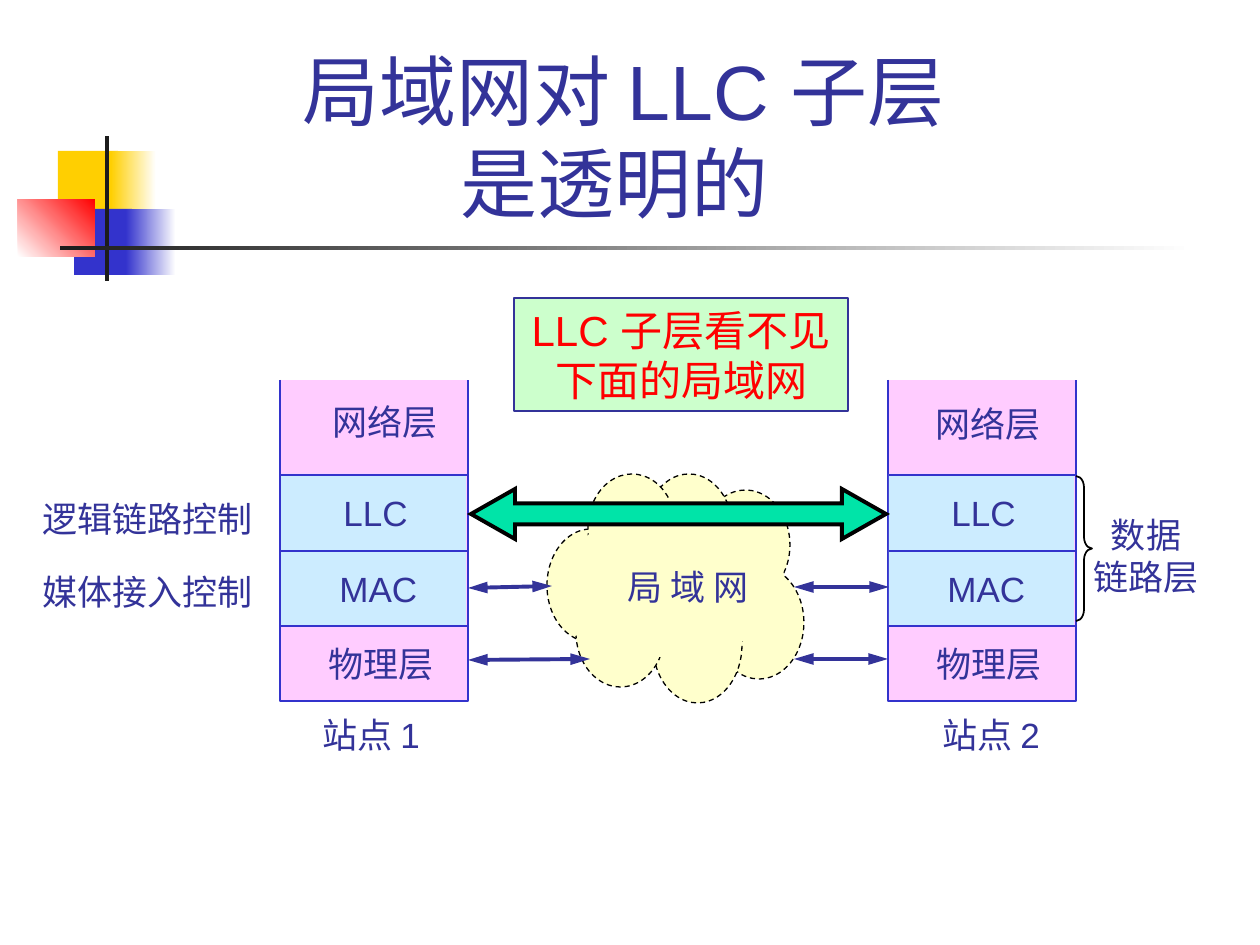
from pptx import Presentation
from pptx.dml.color import RGBColor
from pptx.enum.dml import MSO_LINE
from pptx.enum.shapes import MSO_CONNECTOR, MSO_SHAPE
from pptx.enum.text import MSO_ANCHOR, MSO_AUTO_SIZE, PP_ALIGN
from pptx.oxml.ns import qn
from pptx.util import Pt
from lxml import etree

PX = 914400 / 126
RECT, OVAL = MSO_SHAPE.RECTANGLE, MSO_SHAPE.OVAL
STRAIGHT, DASH = MSO_CONNECTOR.STRAIGHT, MSO_LINE.DASH
LEFT, CENTER = PP_ALIGN.LEFT, PP_ALIGN.CENTER
COLORS = {
    "yellow": "FFCF01", "blue": "3333CC", "red": "FF0000", "white": "FFFFFF",
    "dark": "1C1C1C", "black": "000000", "navy": "333399", "pink": "FFCCFF",
    "sky": "CCECFF", "cream": "FFFFCC", "mint": "CCFFCC", "green": "00E4A8",
}
COLORS = {name: RGBColor.from_string(value) for name, value in COLORS.items()}

deck = Presentation()
deck.slide_width, deck.slide_height = round(1260 * PX), round(945 * PX)
page = deck.slides.add_slide(deck.slide_layouts[6])


def style(shape, fill=None, line=None, width=0.75):
    """Give a shape or connector flat colours and no shadow; None means no paint."""
    if line:
        shape.line.color.rgb = COLORS[line]
        shape.line.width = Pt(width)
    else:
        shape.line.fill.background()
    if hasattr(shape, "begin_x"):
        etree.SubElement(shape._element.spPr, qn("a:effectLst"))
        return shape
    shape.shadow.inherit = False
    if fill:
        shape.fill.solid()
        shape.fill.fore_color.rgb = COLORS[fill]
    else:
        shape.fill.background()
    return shape


def write(box, text, size=20, color="navy", align=LEFT):
    frame = box.text_frame
    frame.text = text
    frame.word_wrap = False
    frame.auto_size = MSO_AUTO_SIZE.SHAPE_TO_FIT_TEXT
    for para in frame.paragraphs:
        para.alignment = align
        for span in para.runs:
            span.font.size = Pt(size)
            span.font.name = "Arial"
            span.font.color.rgb = COLORS[color]
    return frame


# Corner ornament: angle is None for a plain block
ornament = [
    (58, 151, 60, 66, "yellow", None, None),
    (111, 151, 45, 66, "yellow", "white", 0),
    (74, 209, 58, 66, "blue", None, None),
    (126, 209, 50, 66, "blue", "white", 0),
    (18, 199, 77, 58, "white", "red", 45),
    (105, 136, 4, 145, "dark", None, None),
    (60, 246, 1134, 4, "dark", "white", 0),
]
for x, y, w, h, start, end, angle in ornament:
    block = page.shapes.add_shape(RECT, *(round(v * PX) for v in (x, y, w, h)))
    style(block, start)
    if angle is not None:
        block.fill.gradient()
        block.fill.gradient_angle = angle
        for stop, name in zip(block.fill.gradient_stops, (start, end)):
            stop.color.rgb = COLORS[name]

# Protocol stacks of the two stations, open at the top
STACK_TOP, STACK_BOTTOM, STACK_WIDTH = 380, 701, 188
for x in (888, 280):
    outline = page.shapes.build_freeform(x, STACK_TOP, scale=PX)
    outline.add_line_segments(
        [(x, STACK_BOTTOM), (x + STACK_WIDTH, STACK_BOTTOM), (x + STACK_WIDTH, STACK_TOP)],
        close=False)
    style(outline.convert_to_shape(), "pink", "blue")
    link_layer = page.shapes.add_shape(
        RECT, *(round(v * PX) for v in (x + 1, 474, STACK_WIDTH - 3, 151)))
    style(link_layer, "sky")
    for y in (475, 551, 626):
        divider = page.shapes.add_connector(
            STRAIGHT, *(round(v * PX) for v in (x + 1, y, x + STACK_WIDTH - 1, y)))
        style(divider, line="blue", width=1)

# Cloud: dashed puffs under a plain core
puffs = [
    (714, 566, 90, 113), (547, 529, 88, 113), (701, 490, 89, 110), (653, 587, 89, 116),
    (576, 577, 89, 110), (645, 474, 88, 113), (588, 474, 88, 108),
]
for bounds in puffs:
    puff = page.shapes.add_shape(OVAL, *(round(v * PX) for v in bounds))
    style(puff, "cream", "black").line.dash_style = DASH
core = page.shapes.add_shape(OVAL, *(round(v * PX) for v in (570, 500, 214, 158)))
style(core, "cream")
patch = page.shapes.build_freeform(577, 606, scale=PX)
patch.add_line_segments([(582, 611), (583, 620), (578, 635), (575, 636), (571, 632), (575, 615)])
style(patch.convert_to_shape(), "cream")

# Title
title = page.shapes.add_textbox(*(round(v * PX) for v in (151, 129, 945, 105)))
frame = write(title, "局域网对 LLC 子层\v是透明的 ", 44, align=CENTER)
frame.word_wrap = True
frame.auto_size = MSO_AUTO_SIZE.NONE
frame.vertical_anchor = MSO_ANCHOR.BOTTOM

# Links between stations and the network
links = [
    (468, 660, 590, 659), (888, 659, 794, 659),
    (468, 588, 552, 586), (889, 587, 794, 587),
]
for ends in links:
    link = page.shapes.add_connector(STRAIGHT, *(round(v * PX) for v in ends))
    style(link, line="navy", width=2.25)
    for tag in ("a:headEnd", "a:tailEnd"):
        etree.SubElement(link.line._get_or_add_ln(), qn(tag), type="triangle", len="lg")

llc_arrow = page.shapes.add_shape(
    MSO_SHAPE.LEFT_RIGHT_ARROW, *(round(v * PX) for v in (471, 489, 415, 50)))
style(llc_arrow, "green", "black", 2.25)
etree.SubElement(llc_arrow.line._get_or_add_ln(), qn("a:miter"), lim="800000")
llc_arrow.adjustments[0], llc_arrow.adjustments[1] = 0.42, 0.88

brace = page.shapes.add_shape(
    MSO_SHAPE.RIGHT_BRACE, *(round(v * PX) for v in (1076, 476, 16, 145)))
style(brace, line="black", width=1)
brace.adjustments[0] = 0.72

# Labels
labels = [
    ("局 域 网", 615, 559, 146, 54, LEFT),
    ("网络层", 320, 394, 130, 54, LEFT), ("网络层", 923, 396, 130, 54, LEFT),
    ("LLC", 331, 485, 100, 54, LEFT), ("LLC", 939, 485, 100, 54, LEFT),
    ("MAC", 327, 561, 110, 54, LEFT), ("MAC", 935, 561, 110, 54, LEFT),
    ("物理层", 316, 636, 130, 54, LEFT), ("物理层", 924, 636, 130, 54, LEFT),
    ("站点 1", 310, 707, 131, 54, LEFT), ("站点 2", 930, 707, 131, 54, LEFT),
    ("逻辑链路控制", 30, 491, 236, 54, LEFT), ("媒体接入控制", 30, 564, 236, 54, LEFT),
    ("数据\n链路层", 1081, 507, 130, 96, CENTER),
]
for text, x, y, w, h, align in labels:
    label = page.shapes.add_textbox(*(round(v * PX) for v in (x, y, w, h)))
    write(label, text, align=align)

callout = page.shapes.add_shape(RECT, *(round(v * PX) for v in (514, 298, 334, 113)))
style(callout, "mint", "navy")
write(callout, "LLC 子层看不见\n下面的局域网", 24, "red", CENTER)

deck.save("out.pptx")
